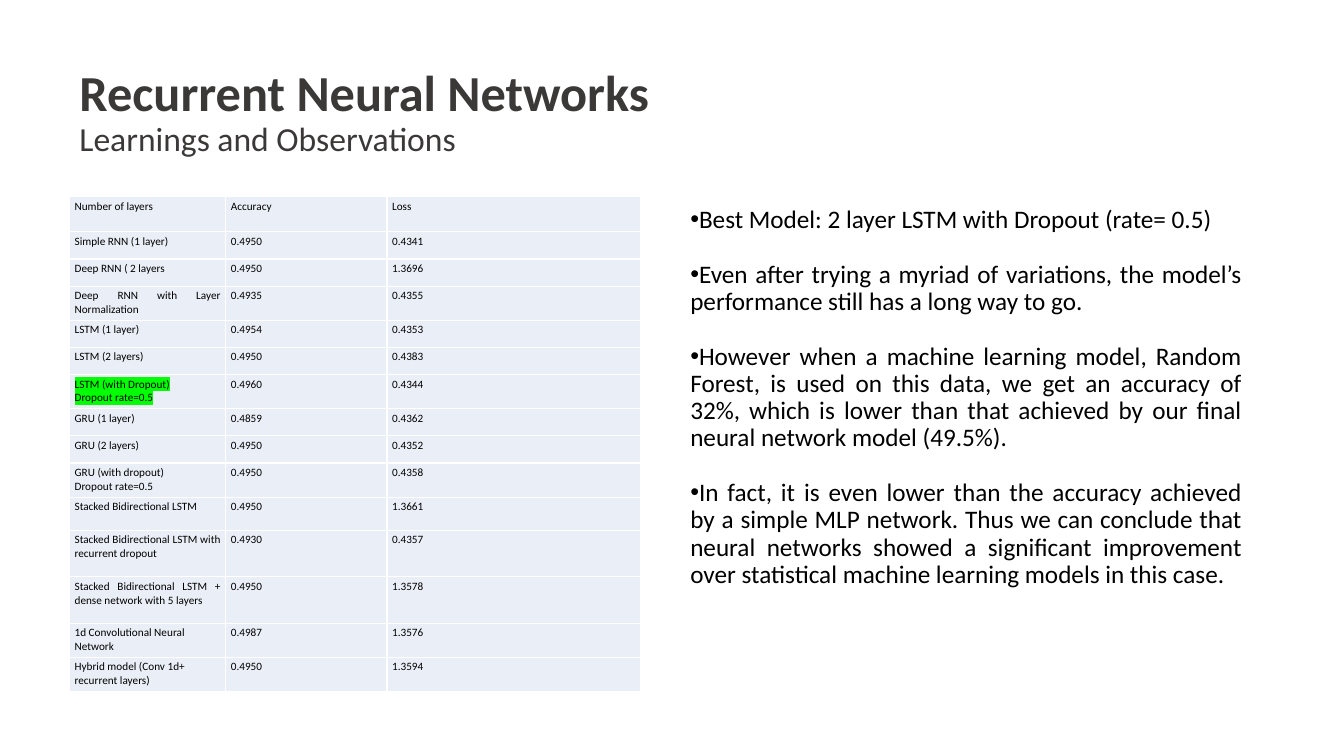
from lxml import etree
from pptx import Presentation
from pptx import util as u
from pptx.dml.color import RGBColor
from pptx.enum import text
from pptx.oxml import ns

Pt = u.Pt
LEFT, JUST = text.PP_ALIGN.LEFT, text.PP_ALIGN.JUSTIFY

# Content
TITLE = "Recurrent Neural Networks"
SUB = "Learnings and Observations"
# Row height, first cell's alignment, its lines, accuracy, loss
ROWS = [
    (25.2, LEFT, ["Number of layers"], "Accuracy", "Loss"),
    (19.4, JUST, ["Simple RNN (1 layer)"], "0.4950", "0.4341"),
    (19.4, JUST, ["Deep RNN ( 2 layers"], "0.4950", "1.3696"),
    (24.4, JUST, ["Deep RNN with Layer Normalization"], "0.4935", "0.4355"),
    (19.4, JUST, ["LSTM (1 layer)"], "0.4954", "0.4353"),
    (19.4, JUST, ["LSTM (2 layers)"], "0.4950", "0.4383"),
    (24.4, JUST, ["LSTM (with Dropout)", "Dropout rate=0.5"], "0.4960", "0.4344"),
    (19.4, JUST, ["GRU (1 layer)"], "0.4859", "0.4362"),
    (19.4, JUST, ["GRU (2 layers)"], "0.4950", "0.4352"),
    (24.4, JUST, ["GRU (with dropout)", "Dropout rate=0.5"], "0.4950", "0.4358"),
    (23.8, JUST, ["Stacked Bidirectional LSTM"], "0.4950", "1.3661"),
    (33.2, JUST, ["Stacked Bidirectional LSTM with recurrent dropout"], "0.4930", "0.4357"),
    (33.2, JUST, ["Stacked Bidirectional LSTM + dense network with 5 layers"], "0.4950", "1.3578"),
    (24.4, LEFT, ["1d Convolutional Neural Network"], "0.4987", "1.3576"),
    (24.4, LEFT, ["Hybrid model (Conv 1d+ recurrent layers)"], "0.4950", "1.3594"),
]
BEST = 6
COLS = [111.6, 115.2, 181]
POINTS = [
    "Best Model: 2 layer LSTM with Dropout (rate= 0.5)",
    "Even after trying a myriad of variations, the model’s performance still has a long way to go.",
    "However when a machine learning model, Random Forest, is used on this data, we get an accuracy "
    "of 32%, which is lower than that achieved by our final neural network model (49.5%).",
    "In fact, it is even lower than the accuracy achieved by a simple MLP network. Thus we can conclude "
    "that neural networks showed a significant improvement over statistical machine learning models in this case.",
]


class Theme:
    font = "Calibri"
    title, sub, body, cell = 36, 24, 18, 8
    head, ink, fill, rule, mark = "3B3838", "000000", "EAEFF7", "FFFFFF", "00FF00"


def add_run(para, words, size, color, bold=False, mark=None):
    run = para.add_run()
    run.text = words
    font = run.font
    font.size, font.bold, font.name = Pt(size), bold, Theme.font
    font.color.rgb = RGBColor.from_string(color)
    if mark:
        light = etree.Element(ns.qn("a:highlight"))
        etree.SubElement(light, ns.qn("a:srgbClr"), val=mark)
        font.fill._xPr.find(ns.qn("a:solidFill")).addnext(light)


def add_box(slide, left, top, width, height, anchor):
    frame = slide.shapes.add_textbox(Pt(left), Pt(top), Pt(width), Pt(height)).text_frame
    frame.word_wrap = True
    frame.vertical_anchor = anchor
    return frame


def set_cell(cell, lines, align, mark=None):
    cell.margin_left = cell.margin_right = Pt(3.6)
    cell.margin_top = cell.margin_bottom = Pt(2)
    cell.fill.solid()
    cell.fill.fore_color.rgb = RGBColor.from_string(Theme.fill)
    for i, line in enumerate(lines):
        frame = cell.text_frame
        para = frame.add_paragraph() if i else frame.paragraphs[0]
        para.alignment = align
        add_run(para, line, Theme.cell, Theme.ink, mark=mark)
    # Borders come before the fill
    props = cell._tc.get_or_add_tcPr()
    for i, side in enumerate(("lnL", "lnR", "lnT", "lnB")):
        edge = etree.Element(ns.qn("a:" + side), w=str(Pt(1)))
        paint = etree.SubElement(edge, ns.qn("a:solidFill"))
        etree.SubElement(paint, ns.qn("a:srgbClr"), val=Theme.rule)
        props.insert(i, edge)


def main():
    prs = Presentation()
    prs.slide_width, prs.slide_height = Pt(960), Pt(540)
    slide = prs.slides.add_slide(prs.slide_layouts[6])

    # Title and subtitle
    para = add_box(slide, 49.7, 28.8, 844.6, 104.4, text.MSO_ANCHOR.MIDDLE).paragraphs[0]
    para.line_spacing = 0.9
    add_run(para, TITLE, Theme.title, Theme.head, bold=True)
    para.add_line_break()
    add_run(para, SUB, Theme.sub, Theme.head)

    # Results table
    high = sum(row[0] for row in ROWS)
    grid = slide.shapes.add_table(
        len(ROWS), len(COLS), Pt(49.7), Pt(140.4), Pt(sum(COLS)), Pt(high)).table
    grid.first_row = grid.horz_banding = False
    for col, width in zip(grid.columns, COLS):
        col.width = Pt(width)
    for r, (height, align, name, *scores) in enumerate(ROWS):
        grid.rows[r].height = Pt(height)
        set_cell(grid.cell(r, 0), name, align, Theme.mark if r == BEST else None)
        for c, score in enumerate(scores, 1):
            set_cell(grid.cell(r, c), [score], JUST)

    # Observations
    frame = add_box(slide, 486, 144, 408.2, 342.7, text.MSO_ANCHOR.TOP)
    for i, point in enumerate(POINTS):
        para = frame.add_paragraph() if i else frame.paragraphs[0]
        para.alignment, para.line_spacing = JUST, 0.9
        if i < len(POINTS) - 1:
            para.space_after = Pt(19.7)
        props = para._p.get_or_add_pPr()
        props.set("marL", "0")
        props.set("indent", str(-Pt(18)))
        etree.SubElement(props, ns.qn("a:buFont"), typeface="Arial")
        etree.SubElement(props, ns.qn("a:buChar"), char="•")
        add_run(para, point, Theme.body, Theme.ink)

    prs.save("out.pptx")


if __name__ == "__main__":
    main()
